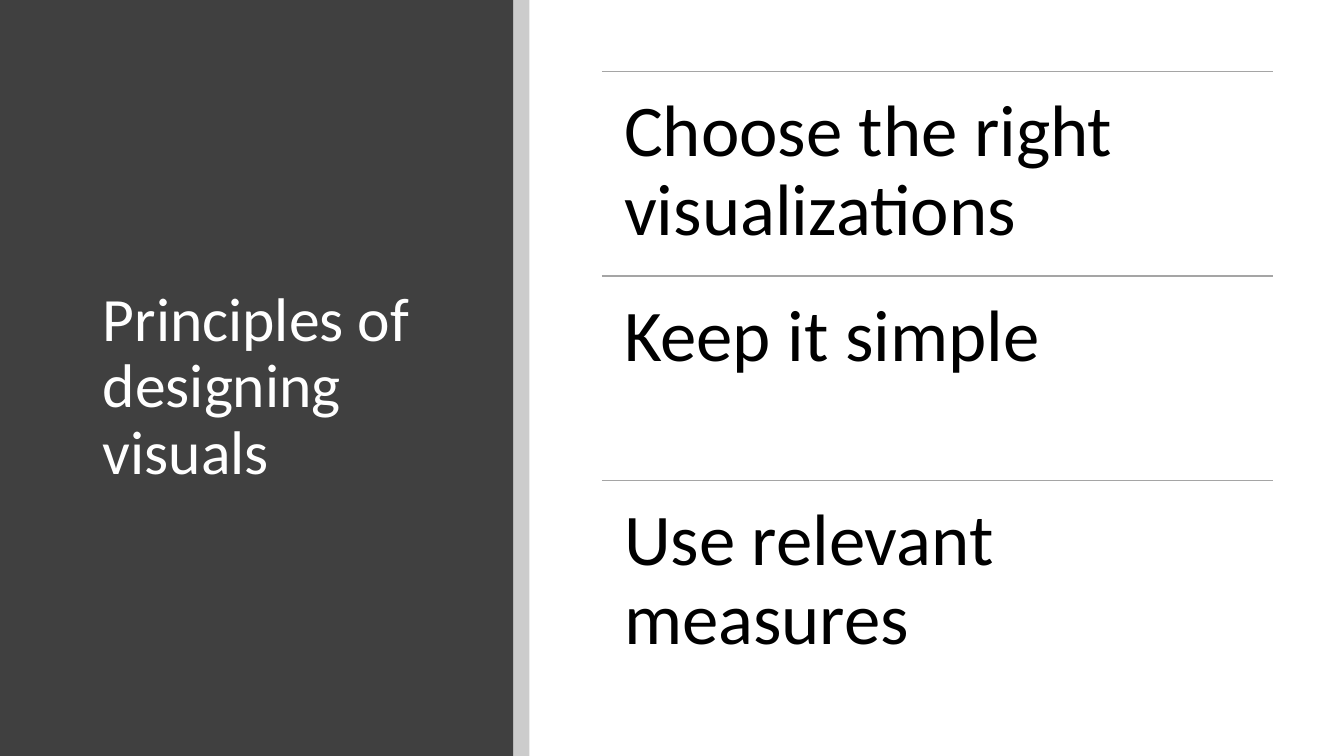
from lxml import etree
from pptx import Presentation
from pptx.dml.color import RGBColor
from pptx.enum.shapes import MSO_CONNECTOR, MSO_SHAPE
from pptx.enum.text import MSO_ANCHOR, MSO_AUTO_SIZE, PP_ALIGN
from pptx.oxml.ns import qn
from pptx.util import Inches, Pt

RECTANGLE = MSO_SHAPE.RECTANGLE
STRAIGHT = MSO_CONNECTOR.STRAIGHT
TOP, MIDDLE = MSO_ANCHOR.TOP, MSO_ANCHOR.MIDDLE
LEFT = PP_ALIGN.LEFT
NO_AUTOFIT = MSO_AUTO_SIZE.NONE
TITLE_ONLY = 5

FONT = "Calibri"
WHITE, BLACK = "FFFFFF", "000000"
PANEL_COLOR, RULE_COLOR = "404040", "A5A5A5"

PRINCIPLES = [
    "Choose the right visualizations",
    "Keep it simple",
    "Use relevant measures",
]
LIST_LEFT, LIST_TOP, LIST_WIDTH = 5.97, 0.71, 6.66
ROW_HEIGHT = 2.03


def color(hex_string):
    """Return the colour for a hex string."""
    return RGBColor.from_string(hex_string)


def write_text(frame, text, size, font_color, anchor=TOP, inset=None):
    """Write one formatted, left-aligned paragraph into a text frame."""
    frame.word_wrap = True
    frame.auto_size = NO_AUTOFIT
    frame.vertical_anchor = anchor
    if inset is not None:
        frame.margin_left = frame.margin_right = Inches(inset)
        frame.margin_top = frame.margin_bottom = Inches(inset)
    paragraph = frame.paragraphs[0]
    paragraph.alignment = LEFT
    paragraph.line_spacing = 0.9
    run = paragraph.add_run()
    run.text = text
    run.font.name = FONT
    run.font.size = Pt(size)
    run.font.color.rgb = color(font_color)


def add_panel(slide, left, width, fill, opacity=100):
    """Add a full-height rectangle without an outline."""
    shape = slide.shapes.add_shape(
        RECTANGLE, Inches(left), 0, Inches(width), Inches(7.5))
    shape.shadow.inherit = False
    shape.fill.solid()
    shape.fill.fore_color.rgb = color(fill)
    shape.line.fill.background()
    if opacity < 100:
        fill_color = shape.element.spPr.find(qn("a:solidFill"))[0]
        alpha = etree.SubElement(fill_color, qn("a:alpha"))
        alpha.set("val", str(opacity * 1000))


def add_title(slide, text):
    """Place the title placeholder in front of the panels and fill it."""
    title = slide.shapes.title
    title.element.getparent().append(title.element)
    title.left, title.top = Inches(0.92), Inches(0.89)
    title.width, title.height = Inches(3.65), Inches(5.91)
    write_text(title.text_frame, text, 44, WHITE, anchor=MIDDLE)


def add_rule(slide, top):
    """Add a thin horizontal line above a principle."""
    rule = slide.shapes.add_connector(
        STRAIGHT, Inches(LIST_LEFT), Inches(top),
        Inches(LIST_LEFT + LIST_WIDTH), Inches(top))
    rule.line.color.rgb = color(RULE_COLOR)
    rule.line.width = Pt(1)
    etree.SubElement(rule.element.spPr, qn("a:effectLst"))


def add_principle(slide, top, text):
    """Add one principle with the line above it."""
    add_rule(slide, top)
    box = slide.shapes.add_textbox(
        Inches(LIST_LEFT), Inches(top), Inches(LIST_WIDTH), Inches(ROW_HEIGHT))
    write_text(box.text_frame, text, 52, BLACK, inset=0.22)


def main():
    """Build and save the slide."""
    presentation = Presentation()
    presentation.slide_width = Inches(13.33)
    presentation.slide_height = Inches(7.5)
    slide = presentation.slides.add_slide(
        presentation.slide_layouts[TITLE_ONLY])
    add_panel(slide, 0, 5.09, PANEL_COLOR)
    add_panel(slide, 5.09, 0.16, BLACK, opacity=20)
    add_title(slide, "Principles of designing visuals")
    for row, text in enumerate(PRINCIPLES):
        add_principle(slide, LIST_TOP + row * ROW_HEIGHT, text)
    presentation.save("out.pptx")


if __name__ == "__main__":
    main()
